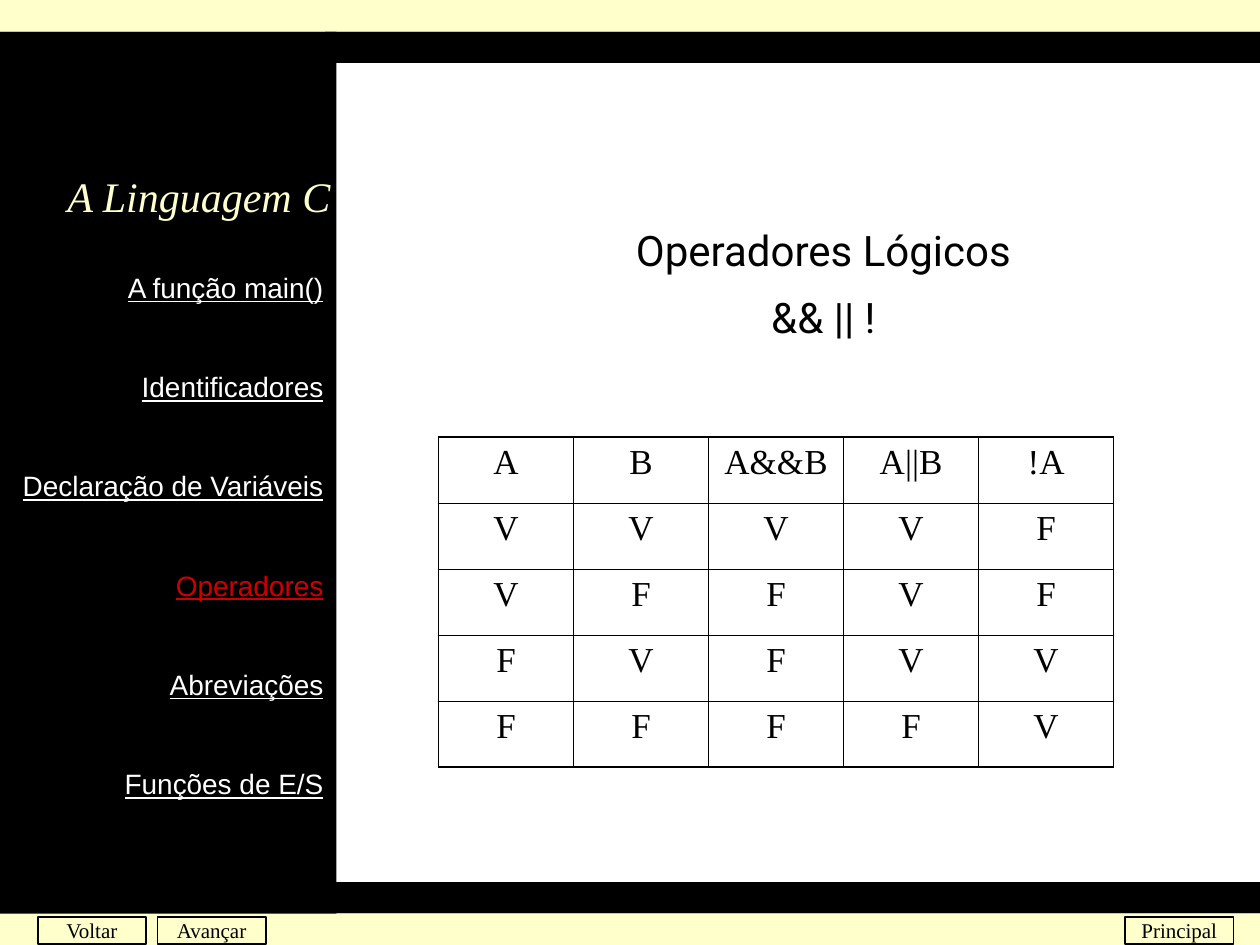
from collections import namedtuple

from lxml import etree
from pptx import Presentation
from pptx.dml.color import RGBColor
from pptx.enum.shapes import MSO_SHAPE
from pptx.enum.text import MSO_ANCHOR, MSO_AUTO_SIZE, PP_ALIGN
from pptx.oxml.ns import qn
from pptx.util import Inches, Pt

RECTANGLE = MSO_SHAPE.RECTANGLE
TOP, BOTTOM = MSO_ANCHOR.TOP, MSO_ANCHOR.BOTTOM
CENTER, RIGHT = PP_ALIGN.CENTER, PP_ALIGN.RIGHT
NO_AUTOFIT = MSO_AUTO_SIZE.NONE

BLACK = RGBColor(0x00, 0x00, 0x00)
WHITE = RGBColor(0xFF, 0xFF, 0xFF)
CREAM = RGBColor(0xFF, 0xFF, 0xCC)
RED = RGBColor(0xCC, 0x00, 0x00)
SERIF, SANS, HEADING = "Times New Roman", "Arial", "Roboto"

# The slide is a grid of 40 columns by 30 rows of square units
COLUMNS, ROWS, UNIT = 40, 30, 0.25
OUTER, INNER = 1.08, 0.45  # table rule widths in points

MENU = ["A função main()", "Identificadores", "Declaração de Variáveis",
        "Operadores", "Abreviações", "Funções de E/S"]
CURRENT = "Operadores"
TRUTH_TABLE = [
    ["A", "B", "A&&B", "A||B", "!A"],
    ["V", "V", "V", "V", "F"],
    ["V", "F", "F", "V", "F"],
    ["F", "V", "F", "V", "V"],
    ["F", "F", "F", "F", "V"],
]

Box = namedtuple("Box", "left top width height")  # a region, in units


def inside(box, left, top, width, height):
    return Box(box.left + left, box.top + top, width, height)


def lengths(box):
    return [Inches(side * UNIT) for side in box]


def add_text(paragraph, text, size, font, color, align, spacing=None):
    paragraph.alignment = align
    paragraph.line_spacing = spacing
    run = paragraph.add_run()
    run.text = text
    run.font.size = Pt(size)
    run.font.name = font
    run.font.color.rgb = color
    return run


def add_bar(slide, box, color):
    bar = slide.shapes.add_shape(RECTANGLE, *lengths(box))
    bar.shadow.inherit = False
    bar.fill.solid()
    bar.fill.fore_color.rgb = color
    bar.line.fill.background()


def add_label(slide, box, anchor=TOP):
    frame = slide.shapes.add_textbox(*lengths(box)).text_frame
    frame.word_wrap = True
    frame.vertical_anchor = anchor
    return frame.paragraphs[0]


def add_frame(slide, box):
    """Black side panel and bands, cream strips above and below."""
    add_bar(slide, inside(box, 0, 1, 10.68, 29), BLACK)
    for top in (1, 28):
        add_bar(slide, inside(box, 10.32, top, 29.68, 1), BLACK)
    for top in (29, 0):
        add_bar(slide, inside(box, 0, top, box.width, 1), CREAM)


def add_buttons(slide, box):
    for label, left in (("Voltar", 1.2), ("Avançar", 5), ("Principal", 35.72)):
        button = slide.shapes.add_shape(
            RECTANGLE, *lengths(inside(box, left, 0.12, 3.44, 0.86)))
        button.shadow.inherit = False
        button.fill.background()
        button.line.color.rgb = BLACK
        button.line.width = Pt(1)
        frame = button.text_frame
        frame.margin_top = frame.margin_bottom = 0
        frame.vertical_anchor = TOP
        add_text(frame.paragraphs[0], label, 12, SERIF, BLACK, CENTER)


def add_sidebar(slide, box):
    course = add_label(slide, inside(box, 0.88, 4.52, 10, 1.68), BOTTOM)
    add_text(course, "A Linguagem C", 24, SERIF, CREAM, RIGHT, 0.8).font.italic = True

    # Menu entries, evenly spaced
    for index, entry in enumerate(MENU):
        line = add_label(slide, inside(box, -1, 7.64 + 3.15 * index, 11.66, 1.2))
        color = RED if entry == CURRENT else WHITE
        add_text(line, entry, 16, SANS, color, RIGHT, 0.75).font.underline = True


def add_title(slide, box):
    title = slide.shapes.title
    title.left, title.top, title.width, title.height = lengths(box)
    frame = title.text_frame
    frame.auto_size = NO_AUTOFIT
    frame.word_wrap = False
    frame.vertical_anchor = TOP
    heading, operators = frame.paragraphs[0], frame.add_paragraph()
    for paragraph, text in ((heading, "Operadores Lógicos"), (operators, "&& || !")):
        add_text(paragraph, text, 24, HEADING, BLACK, CENTER, 0.9)
        paragraph.space_after = Pt(3)
    heading.space_before = Pt(0)
    operators.space_before = Pt(9)


def set_borders(cell, outer_sides):
    properties = cell._tc.get_or_add_tcPr()
    for position, side in enumerate("LRTB"):
        width = Pt(OUTER if side in outer_sides else INNER)
        line = etree.Element(qn(f"a:ln{side}"), w=str(int(width)))
        fill = etree.SubElement(line, qn("a:solidFill"))
        etree.SubElement(fill, qn("a:srgbClr"), val=str(BLACK))
        properties.insert(position, line)


def add_truth_table(slide, box):
    rows, columns = len(TRUTH_TABLE), len(TRUTH_TABLE[0])
    table = slide.shapes.add_table(rows, columns, *lengths(box)).table
    table.first_row = table.horz_banding = False
    for r, values in enumerate(TRUTH_TABLE):
        for c, value in enumerate(values):
            cell = table.cell(r, c)
            cell.fill.background()
            edges = {"L": c == 0, "R": c == columns - 1,
                     "T": r == 0, "B": r == rows - 1}
            set_borders(cell, [side for side, outer in edges.items() if outer])
            add_text(cell.text_frame.paragraphs[0], value, 20, SERIF, BLACK, CENTER)


def main():
    deck = Presentation()
    deck.slide_width, deck.slide_height = Inches(COLUMNS * UNIT), Inches(ROWS * UNIT)
    slide = deck.slides.add_slide(deck.slide_layouts.get_by_name("Title Only"))
    page = Box(0, 0, COLUMNS, ROWS)
    add_frame(slide, page)
    add_buttons(slide, inside(page, 0, 29, COLUMNS, 1))
    add_sidebar(slide, inside(page, 0, 1, 10.68, 29))
    add_title(slide, inside(page, 19.44, 7.12, 13.4, 3.96))
    add_truth_table(slide, inside(page, 13.92, 13.88, 21.44, 10.48))
    deck.save("out.pptx")


if __name__ == "__main__":
    main()
